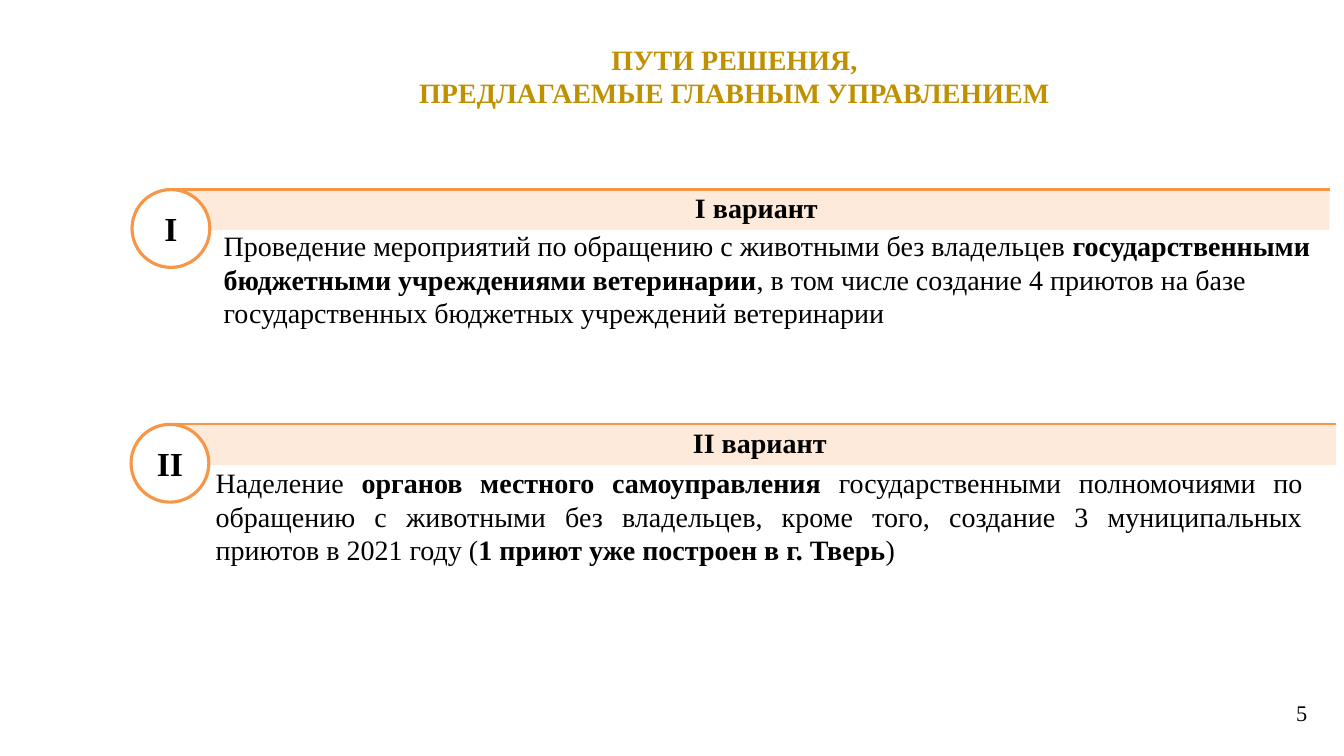
import pptx
import pptx.util
import pptx.dml.color
import pptx.enum.shapes
import pptx.enum.text
import pptx.oxml.ns
import lxml.etree

Pt = pptx.util.Pt
RGBColor = pptx.dml.color.RGBColor
SHAPE = pptx.enum.shapes.MSO_SHAPE
ALIGN = pptx.enum.text.PP_ALIGN
ANCHOR = pptx.enum.text.MSO_ANCHOR

BLACK = RGBColor(0x00, 0x00, 0x00)
WHITE = RGBColor(0xFF, 0xFF, 0xFF)
GOLD = RGBColor(0xBF, 0x90, 0x00)
ORANGE = RGBColor(0xF7, 0x96, 0x46)
PEACH = RGBColor(0xFD, 0xEA, 0xDA)


def write(sp, text, size=20, color=BLACK, bold=False, align=ALIGN.LEFT,
          anchor=ANCHOR.TOP, spacing=1.0, inset=7.2):
    """Fill a shape with text: newlines split paragraphs, ** toggles bold."""
    tf = sp.text_frame
    tf.word_wrap = True
    tf.auto_size = pptx.enum.text.MSO_AUTO_SIZE.NONE
    tf.vertical_anchor = anchor
    tf.margin_left = tf.margin_right = Pt(inset)
    tf.margin_top = tf.margin_bottom = Pt(3.6)
    for i, line in enumerate(text.split("\n")):
        p = tf.add_paragraph() if i else tf.paragraphs[0]
        p.alignment = align
        p.line_spacing = spacing
        for j, part in enumerate(line.split("**")):
            r = p.add_run()
            r.text = part
            r.font.name = "Times New Roman"
            r.font.size = Pt(size)
            r.font.bold = bold or j % 2 == 1
            r.font.color.rgb = color


prs = pptx.Presentation()
prs.slide_width, prs.slide_height = Pt(960), Pt(540)
s = prs.slides.add_slide(prs.slide_layouts[5])

# Title
title = s.shapes.title
title.left, title.top, title.width, title.height = Pt(99.4), Pt(26.6), Pt(850.3), Pt(55.4)
write(title, "ПУТИ РЕШЕНИЯ,\nПРЕДЛАГАЕМЫЕ ГЛАВНЫМ УПРАВЛЕНИЕМ",
      color=GOLD, bold=True, align=ALIGN.CENTER)

# Options: numeral, top, right edge, line start, circle left,
# body (left, top, width, inset, alignment), body text
options = [
    ("I", 135.4, 949.7, 118.8, 94.3, (159.8, 159.8, 794.9, 0, ALIGN.LEFT),
     "Проведение мероприятий по обращению с животными без владельцев "
     "**государственными бюджетными учреждениями ветеринарии**, в том числе "
     "создание 4 приютов на базе государственных бюджетных учреждений ветеринарии"),
    ("II", 303.1, 954.5, 123.1, 93.6, (146.9, 329, 790.6, 7.2, ALIGN.JUSTIFY),
     "Наделение **органов местного самоуправления **государственными полномочиями "
     "по обращению с животными без владельцев, кроме того, создание 3 муниципальных "
     "приютов в 2021 году (**1 приют уже построен в г. Тверь**)"),
]
for numeral, top, right, line_left, circle_left, body_box, body_text in options:
    # Heading bar
    bar = s.shapes.add_shape(SHAPE.RECTANGLE, Pt(131), Pt(top), Pt(right - 131), Pt(29))
    bar.shadow.inherit = False
    bar.fill.solid()
    bar.fill.fore_color.rgb = PEACH
    bar.line.fill.background()
    write(bar, f"{numeral} вариант", bold=True, align=ALIGN.CENTER, spacing=0.9)

    # Rule along the top of the bar
    rule = s.shapes.add_connector(pptx.enum.shapes.MSO_CONNECTOR.STRAIGHT,
                                  Pt(line_left), Pt(top), Pt(right), Pt(top))
    rule.line.color.rgb = ORANGE
    rule.line.width = Pt(1.5)
    lxml.etree.SubElement(rule._element.spPr, pptx.oxml.ns.qn("a:effectLst"))

    # Description
    left, body_top, width, inset, align = body_box
    body = s.shapes.add_textbox(Pt(left), Pt(body_top), Pt(width), Pt(80))
    write(body, body_text, align=align, inset=inset)

    # Numbered circle
    circle = s.shapes.add_shape(SHAPE.OVAL, Pt(circle_left), Pt(top), Pt(55.6), Pt(55.6))
    circle.shadow.inherit = False
    circle.fill.solid()
    circle.fill.fore_color.rgb = WHITE
    circle.line.color.rgb = ORANGE
    circle.line.width = Pt(2.25)
    write(circle, numeral, size=24, bold=True, align=ALIGN.CENTER,
          anchor=ANCHOR.MIDDLE, inset=0)

# Page number
page = s.shapes.add_textbox(Pt(717), Pt(490.3), Pt(224), Pt(37.4))
write(page, "5", size=16, align=ALIGN.RIGHT, anchor=ANCHOR.MIDDLE)

prs.save("out.pptx")
